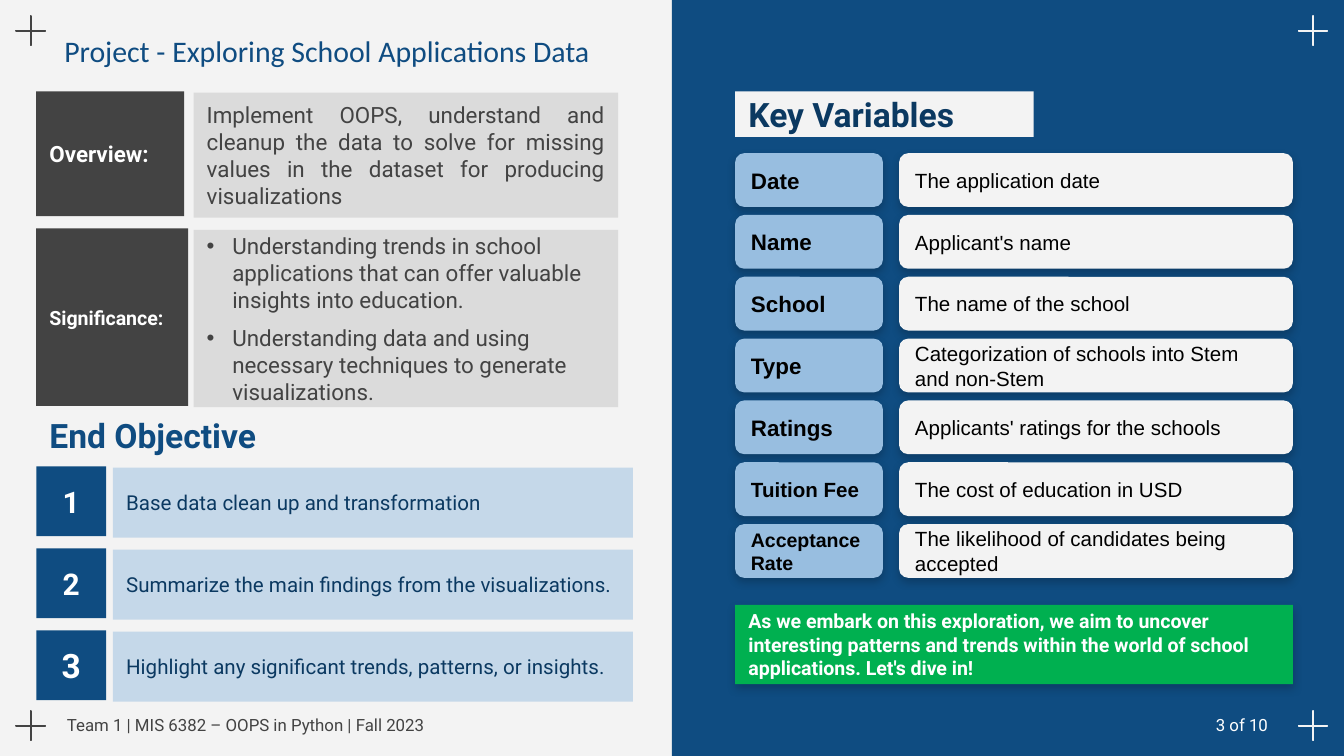
from dataclasses import dataclass

from lxml.etree import SubElement
from pptx import Presentation
from pptx.dml.color import RGBColor
from pptx.enum.shapes import MSO_SHAPE
from pptx.enum.text import MSO_ANCHOR, PP_ALIGN
from pptx.oxml.ns import qn
from pptx.util import Inches, Pt


@dataclass(frozen=True)
class Theme:
    """Colours, fonts and type sizes of the slide."""

    paper: str = "F3F3F3"
    blue: str = "0F4C81"
    navy: str = "0B3961"
    sky: str = "98BEE0"
    pale: str = "C5D8E9"
    dark: str = "434343"
    grey: str = "DBDBDB"
    green: str = "00B050"
    white: str = "FFFFFF"
    black: str = "000000"
    main: str = "Roboto"
    plain: str = "Arial"
    title: str = "Calibri"
    head: float = 18
    large: float = 16
    body: float = 12
    mid: float = 11
    note: float = 10.5
    foot: float = 9


T = Theme()
COLS, ROWS = 100, 56.25
WIDTH = Inches(10)
CELL = WIDTH / COLS


def span(cells):
    """Turn grid cells into a length."""
    return round(cells * CELL)


def inside(box, x, y, wide, high):
    """Place a box by its offset from the corner of another."""
    return box[0] + x, box[1] + y, wide, high


def cast(shape):
    """Give a shape a soft shadow below it."""
    glow = shape._element.spPr.find(qn("a:effectLst"))
    outer = SubElement(glow, qn("a:outerShdw"), blurRad=str(Pt(4.5)),
                       dist=str(Pt(2.25)), dir="5400000", algn="bl", rotWithShape="0")
    tint = SubElement(outer, qn("a:srgbClr"), val=T.black)
    SubElement(tint, qn("a:alpha"), val="20000")


def block(slide, box, fill, kind=MSO_SHAPE.RECTANGLE, bend=None, line=None):
    """Draw a preset shape, filled, outlined or both."""
    shape = slide.shapes.add_shape(kind, *map(span, box))
    shape.shadow.inherit = False
    if fill:
        shape.fill.solid()
        shape.fill.fore_color.rgb = RGBColor.from_string(fill)
    else:
        shape.fill.background()
    if line:
        shape.line.color.rgb = RGBColor.from_string(line)
        shape.line.width = Pt(0.75)
    else:
        shape.line.fill.background()
    if bend is not None:
        shape.adjustments[0] = bend
    return shape


def write(shape, lines, size, tone, face=T.main, bold=False,
          align=PP_ALIGN.LEFT, gap=0, pad=0.5, dots=False):
    """Set the text of a shape, one run to each paragraph."""
    frame = shape.text_frame
    frame.word_wrap = True
    frame.vertical_anchor = MSO_ANCHOR.MIDDLE
    frame.margin_left = frame.margin_right = span(1)
    frame.margin_top = frame.margin_bottom = span(pad)
    for spot, words in enumerate(lines):
        para = frame.add_paragraph() if spot else frame.paragraphs[0]
        para.alignment = align
        para.space_before = Pt(gap)
        if dots:
            props = para._p.get_or_add_pPr()
            props.set("marL", str(span(1.9)))
            props.set("indent", str(-span(1.9)))
            SubElement(props, qn("a:buFont"), typeface=T.plain)
            SubElement(props, qn("a:buChar"), char="•")
        run = para.add_run()
        run.text = words
        run.font.size = Pt(size)
        run.font.name = face
        run.font.bold = bold
        run.font.color.rgb = RGBColor.from_string(tone)


def label(slide, box, words, size, tone, **style):
    """Add a line of text in a text box."""
    write(slide.shapes.add_textbox(*map(span, box)), [words], size, tone, **style)


def pill(slide, box, words, size, fill, tone, bend=0.17, **style):
    """Add a raised panel with text."""
    shape = block(slide, box, fill, MSO_SHAPE.ROUNDED_RECTANGLE, bend)
    cast(shape)
    write(shape, [words], size, tone, pad=1, **style)


def draw_frame(slide, box):
    """Draw the right half, corner marks, title and footer."""
    _, _, wide, high = box
    half = wide / 2
    block(slide, inside(box, half, 0, half, high), T.blue)
    for y in (0.8, high - 3.75):
        for x, tone in ((0.8, T.dark), (wide - 3.8, T.paper)):
            block(slide, inside(box, x, y, 3, 3), None, MSO_SHAPE.MATH_PLUS, 0.01, tone)
    label(slide, inside(box, 3.8, 1.8, 41.8, 3.9),
          "Project - Exploring School Applications Data", T.large, T.blue,
          face=T.title, pad=1)
    label(slide, inside(box, 4, 52.9, 45, 2),
          "Team 1 | MIS 6382 – OOPS in Python | Fall 2023", T.foot, T.dark)
    label(slide, inside(box, 88.8, 52.9, 7.2, 2), "3 of 10", T.foot, T.white,
          align=PP_ALIGN.CENTER)


def draw_card(slide, box, name, size, side, lines, **style):
    """Draw a dark label beside a grey text panel."""
    _, _, wide, high = box
    panel = block(slide, inside(box, 11.7, 0.1, wide - 11.7, high), T.grey)
    write(panel, lines, T.body, T.dark, gap=6, **style)
    tab = block(slide, inside(box, 0, 0, side, high), T.dark)
    write(tab, [name], size, T.white, bold=True, gap=6)


def draw_goals(slide, box):
    """Draw the heading and the numbered goals."""
    label(slide, inside(box, 0, 0, 25, 3.4), "End Objective", T.head, T.blue, bold=True)
    goals = (
        ("Base data clean up and transformation", T.large),
        ("Summarize the main findings from the visualizations.", T.large),
        ("Highlight any significant trends, patterns, or insights.", T.head),
    )
    for row, (words, size) in enumerate(goals):
        y = 4 + 6.1 * row
        bar = block(slide, inside(box, 5.7, y + 0.1, box[2] - 5.7, 5.2), T.pale)
        write(bar, [words], T.mid, T.navy, gap=6)
        tile = block(slide, inside(box, 0, y, 5.2, 5.2), T.blue)
        write(tile, [str(row + 1)], size, T.white, bold=True, gap=6,
              align=PP_ALIGN.CENTER)


def draw_keys(slide, box):
    """Draw the key variables and the closing note."""
    _, _, wide, high = box
    head = block(slide, inside(box, 0, 0, 22.2, 3.4), T.paper)
    write(head, ["Key Variables"], T.head, T.navy, bold=True)
    keys = (
        ("Date", T.body, "The application date"),
        ("Name", T.body, "Applicant's name"),
        ("School", T.body, "The name of the school"),
        ("Type", T.body, "Categorization of schools into Stem and non-Stem"),
        ("Ratings", T.body, "Applicants' ratings for the schools"),
        ("Tuition Fee", T.mid, "The cost of education in USD"),
        ("Acceptance Rate", T.note, "The likelihood of candidates being accepted"),
    )
    for row, (name, size, words) in enumerate(keys, 1):
        y = 4.6 * row
        pill(slide, inside(box, 0, y, 11, 4), name, size, T.sky, T.black,
             face=T.plain, bold=True, align=PP_ALIGN.JUSTIFY)
        pill(slide, inside(box, 12.2, y, wide - 12.2, 4), words, T.mid, T.paper,
             T.black, face=T.plain)
    pill(slide, inside(box, 0, high - 5.9, wide, 5.9),
         "As we embark on this exploration, we aim to uncover interesting patterns "
         "and trends within the world of school applications. Let's dive in!",
         T.note, T.green, T.white, bend=0, bold=True)


def main():
    """Build the slide and save it."""
    deck = Presentation()
    deck.slide_width, deck.slide_height = WIDTH, span(ROWS)
    slide = deck.slides.add_slide(deck.slide_layouts[6])
    slide.background.fill.solid()
    slide.background.fill.fore_color.rgb = RGBColor.from_string(T.paper)
    draw_frame(slide, (0, 0, COLS, ROWS))
    draw_card(slide, (2.7, 6.8, 43.3, 9.3), "Overview:", T.body, 11, [
        "Implement OOPS, understand and cleanup the data to solve for missing "
        "values in the dataset for producing visualizations",
    ], align=PP_ALIGN.JUSTIFY)
    draw_card(slide, (2.7, 17, 43.3, 13.2), "Significance:", T.note, 11.3, [
        "Understanding trends in school applications that can offer valuable "
        "insights into education.",
        "Understanding data and using necessary techniques to generate visualizations.",
    ], dots=True)
    draw_goals(slide, (2.7, 30.7, 44.4, 21.4))
    draw_keys(slide, (54.7, 6.8, 41.5, 44.1))
    deck.save("out.pptx")


if __name__ == "__main__":
    main()
